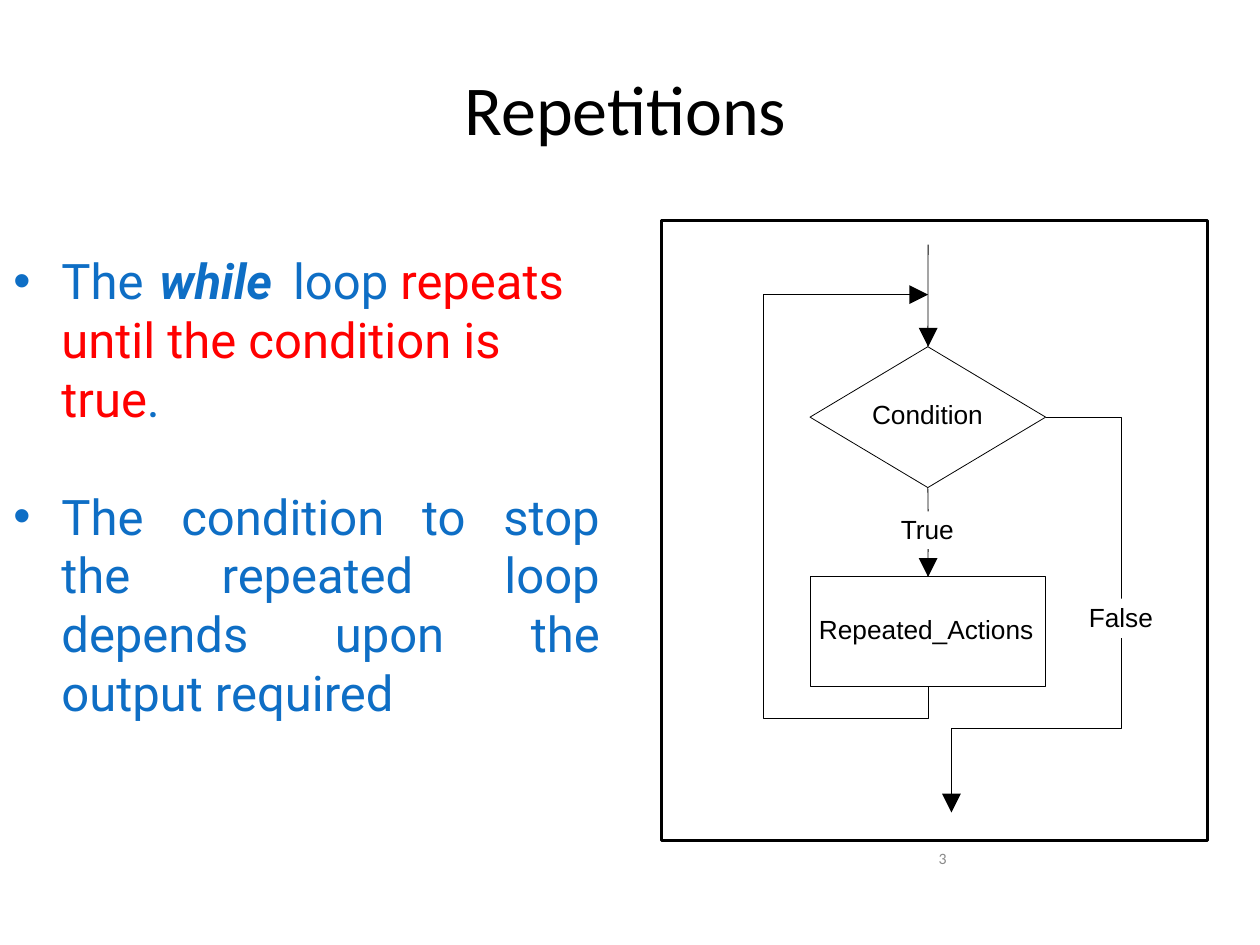
from lxml.etree import SubElement
from pptx import Presentation
from pptx.dml.color import RGBColor
from pptx.enum.shapes import MSO_CONNECTOR as Connector, MSO_SHAPE as Shape
from pptx.enum.text import MSO_ANCHOR as Anchor, PP_ALIGN as Align
from pptx.oxml.ns import qn
from pptx.util import Cm, Pt

BLACK = RGBColor(0x00, 0x00, 0x00)
WHITE = RGBColor(0xFF, 0xFF, 0xFF)
GREY = RGBColor(0x89, 0x89, 0x89)
BLUE = RGBColor(0x0E, 0x6E, 0xC5)
RED = RGBColor(0xFF, 0x00, 0x00)

TITLE_FONT = {"name": "Calibri", "size": Pt(40)}
NUMBER_FONT = {"name": "Calibri", "size": Pt(9)}
LABEL_FONT = {"name": "Arial", "size": Pt(15)}
BODY_FONT = {"name": "Roboto", "size": Pt(28)}
KEYWORD_FONT = {**BODY_FONT, "bold": True, "italic": True}

PADDED = {"margin_left": Cm(0.25), "margin_right": Cm(0.25),
          "margin_top": Cm(0.13), "margin_bottom": Cm(0.13)}
TIGHT = dict.fromkeys(PADDED, 0)

THIN, THICK = Pt(0.45), Pt(2)
AXIS = 18.71
EXIT_X, EXIT_Y = 19.18, 14.68
LOOP_TOP = 5.94
HEAD = 0.38


def apply(target, values):
    for name, value in values.items():
        setattr(target, name, value)


def add_box(page, area, frame_format):
    box = page.shapes.add_textbox(*map(Cm, area))
    apply(box.text_frame, {"word_wrap": True, **frame_format})
    return box.text_frame


def add_span(para, text, font, color):
    span = para.add_run()
    span.text = text
    apply(span.font, font)
    span.font.color.rgb = color


def add_text(page, area, text, font, color, frame_format, para_format):
    para = add_box(page, area, frame_format).paragraphs[0]
    apply(para, para_format)
    add_span(para, text, font, color)
    return para


def set_indent(para, left, first=0):
    properties = para._p.get_or_add_pPr()
    properties.set("marL", str(Cm(left)))
    properties.set("indent", str(Cm(first)))
    return properties


def add_bullet(para, tabs):
    properties = set_indent(para, 0.99, -0.97)
    color = SubElement(properties, qn("a:buClr"))
    SubElement(color, qn("a:srgbClr"), val=str(BLUE))
    SubElement(properties, qn("a:buFont"), typeface="Arial")
    SubElement(properties, qn("a:buChar"), char="•")
    stops = SubElement(properties, qn("a:tabLst"))
    for tab in tabs:
        SubElement(stops, qn("a:tab"), pos=str(Cm(tab)), algn="l")


def add_label(page, left, top, width, text):
    add_text(page, (left, top, width, 0.64), text, LABEL_FONT, BLACK,
             TIGHT, {"line_spacing": Pt(17.9)})


def set_line(shape, width):
    shape.line.color.rgb = BLACK
    shape.line.width = width


def add_outline(page, kind, area, width=THIN):
    shape = page.shapes.add_shape(kind, *map(Cm, area))
    shape.shadow.inherit = False
    shape.fill.background()
    set_line(shape, width)
    return shape


def add_solid(page, kind, area, color, rotation=0):
    shape = page.shapes.add_shape(kind, *map(Cm, area))
    shape.shadow.inherit = False
    shape.fill.solid()
    shape.fill.fore_color.rgb = color
    shape.line.fill.background()
    shape.rotation = rotation


def add_head(page, tip_x, tip_y, rotation=180):
    center_x, center_y = tip_x, tip_y - HEAD / 2
    if rotation == 90:
        center_x, center_y = tip_x - HEAD / 2, tip_y
    area = (center_x - HEAD / 2, center_y - HEAD / 2, HEAD, HEAD)
    add_solid(page, Shape.ISOSCELES_TRIANGLE, area, BLACK, rotation)


def add_vertical(page, x, top, bottom, source=None, target=None):
    line = page.shapes.add_connector(
        Connector.STRAIGHT, *map(Cm, (x, top, x, bottom)))
    set_line(line, THIN)
    SubElement(line._element.spPr, qn("a:effectLst"))
    if source is not None:
        line.begin_connect(source, 2)
    if target is not None:
        line.end_connect(target, 0)


def add_route(page, points):
    start, *rest = [(Cm(x), Cm(y)) for x, y in points]
    builder = page.shapes.build_freeform(*start)
    builder.add_line_segments(rest, close=False)
    route = builder.convert_to_shape()
    route.shadow.inherit = False
    route.fill.background()
    set_line(route, THIN)


def add_body(page):
    frame = add_box(page, (0, 4.93, 12.34, 9.75), PADDED)
    first = frame.paragraphs[0]
    first.space_after = Pt(33.5)
    for text, font, color in (
            ("The\t", BODY_FONT, BLUE),
            ("while\t", KEYWORD_FONT, BLUE),
            ("loop ", BODY_FONT, BLUE),
            ("repeats until the condition is true", BODY_FONT, RED),
            (".", BODY_FONT, BLUE)):
        add_span(first, text, font, color)
    second = frame.add_paragraph()
    second.alignment = Align.JUSTIFY
    add_span(second, "The condition to stop the repeated loop depends upon "
                     "the output required", BODY_FONT, BLUE)
    for para in (first, second):
        add_bullet(para, (0.99, 2.97, 5.66))


def add_flowchart(page):
    add_outline(page, Shape.RECTANGLE, (13.34, 4.45, 11, 12.5), THICK)
    action = add_outline(page, Shape.RECTANGLE, (16.33, 11.63, 4.75, 2.21))
    condition = add_outline(page, Shape.DIAMOND, (16.33, 6.99, 4.75, 2.84))

    add_vertical(page, AXIS, 4.93, 6.99, target=condition)
    add_vertical(page, AXIS, 9.83, 10.31, source=condition)
    add_vertical(page, AXIS, 11.07, 11.63, target=action)
    add_vertical(page, EXIT_X, EXIT_Y, 16.05)
    add_route(page, [(AXIS, 13.84), (AXIS, 14.48), (15.39, 14.48),
                     (15.39, LOOP_TOP), (18.39, LOOP_TOP)])
    add_route(page, [(21.08, 8.41), (22.61, 8.41),
                     (22.61, EXIT_Y), (EXIT_X, EXIT_Y)])

    add_head(page, AXIS, 6.99)
    add_head(page, AXIS, 11.63)
    add_head(page, EXIT_X, 16.38)
    add_head(page, AXIS, LOOP_TOP, rotation=90)

    add_solid(page, Shape.RECTANGLE, (21.89, 12.07, 1.45, 0.79), WHITE)
    for label in ((16.51, 12.37, 4.39, "Repeated_Actions"),
                  (17.58, 8.03, 2.26, "Condition"),
                  (18.16, 10.36, 1.12, "True"),
                  (21.95, 12.12, 1.32, "False")):
        add_label(page, *label)


def main():
    deck = Presentation()
    deck.slide_width, deck.slide_height = Cm(25.4), Cm(19.05)
    page = deck.slides.add_slide(deck.slide_layouts[6])
    title = add_text(page, (3.1, 0.56, 19.23, 2.64), "Repetitions", TITLE_FONT,
                     BLACK, {**PADDED, "margin_top": Cm(0.76)}, {})
    set_indent(title, 6.02)
    add_text(page, (17.91, 16.79, 1.42, 1.02), "3", NUMBER_FONT, GREY,
             {**PADDED, "vertical_anchor": Anchor.MIDDLE},
             {"alignment": Align.RIGHT})
    add_flowchart(page)
    add_body(page)
    deck.save("out.pptx")


if __name__ == "__main__":
    main()
